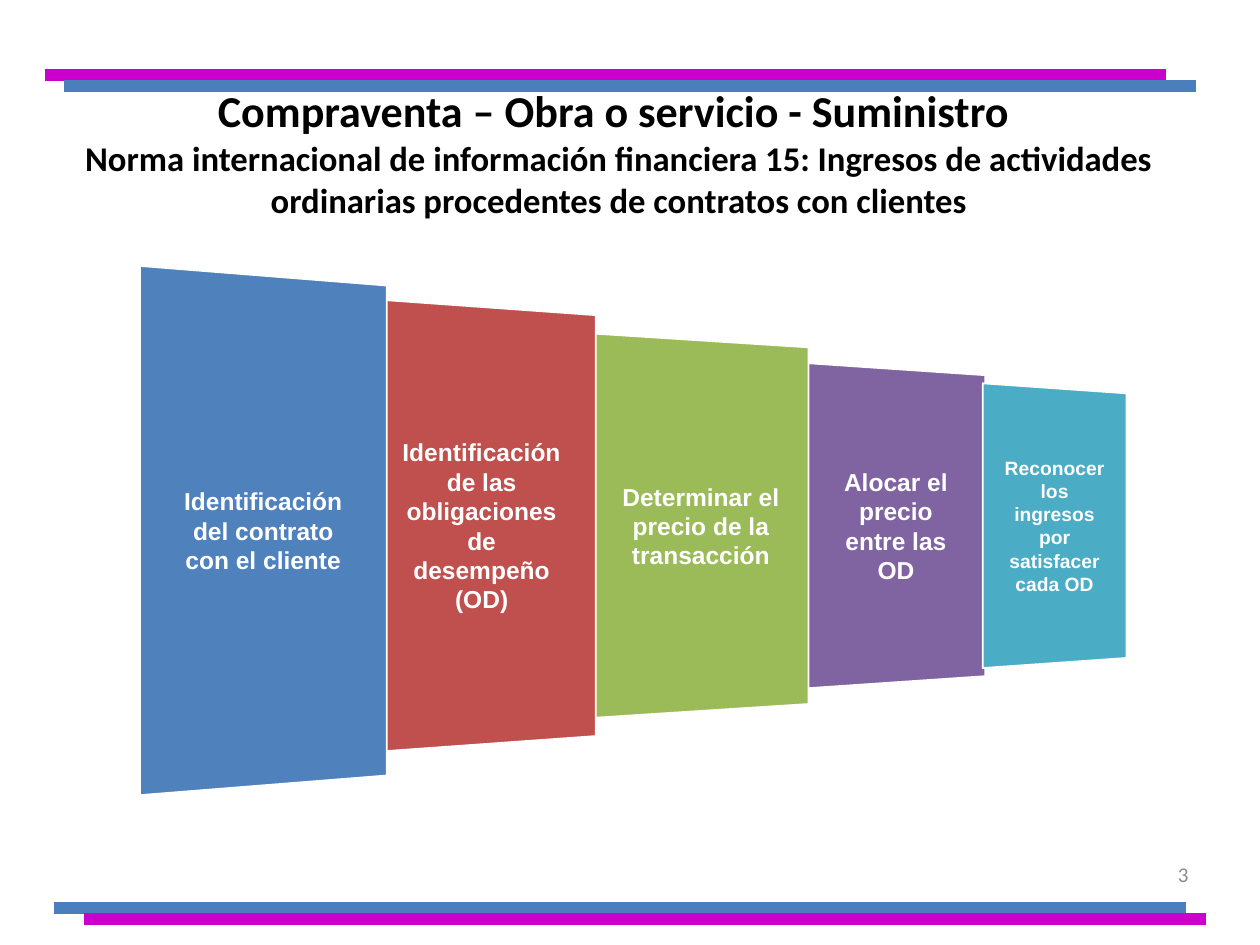
import pptx
import pptx.util
import pptx.dml.color
import pptx.enum.shapes
import pptx.enum.text
import pptx.oxml.ns
import lxml.etree

Pt = pptx.util.Pt
RGB = pptx.dml.color.RGBColor
ALIGN = pptx.enum.text.PP_ALIGN
MIDDLE = pptx.enum.text.MSO_ANCHOR.MIDDLE

BLACK = RGB(0x00, 0x00, 0x00)
WHITE = RGB(0xFF, 0xFF, 0xFF)
GRAY = RGB(0x8C, 0x8C, 0x8C)
STEEL = RGB(0x4B, 0x7E, 0xBC)
PINK = RGB(0xCC, 0x00, 0xCC)
BLUE = RGB(0x4F, 0x81, 0xBD)
RED = RGB(0xC0, 0x50, 0x4D)
GREEN = RGB(0x9B, 0xBB, 0x59)
PURPLE = RGB(0x80, 0x64, 0xA2)
TEAL = RGB(0x4B, 0xAC, 0xC6)

# Content
TITLE = "Compraventa – Obra o servicio - Suministro "
NORM = ("Norma internacional de información financiera 15: Ingresos de "
        "actividades ordinarias procedentes de contratos con clientes")
NUMBER = "3"

# Bars: left, right, y, colour
BARS = [
    (31, 677.5, 519, STEEL),
    (48, 689, 525, PINK),
    (25.5, 666, 43, PINK),
    (36.5, 683.5, 49, STEEL),
]

# Steps, back to front:
# text, colour, left, right, middle, left height, right height, text width, size
STEPS = [
    ("Alocar el precio entre las OD", PURPLE,
     461, 563, 300.4, 185.8, 172, 69, 14),
    ("Determinar el precio de la transacción", GREEN,
     339, 462, 300.4, 219.6, 203.8, 94, 14),
    ("Identificación de las obligaciones de desempeño (OD)", RED,
     210, 340.5, 300.4, 259.2, 240.5, 94, 14),
    ("Identificación del contrato con el cliente", BLUE,
     80, 221, 303.2, 302.4, 280, 94, 14),
    ("Reconocer los ingresos por satisfacer cada OD", TEAL,
     561.6, 643.7, 300.4, 162.7, 151.2, 60.5, 11),
]

deck = pptx.Presentation()
deck.slide_width, deck.slide_height = Pt(720), Pt(540)
slide = deck.slides.add_slide(deck.slide_layouts[6])
shapes = slide.shapes


def write(frame, text, size, font="Calibri", color=BLACK, bold=False,
          align=ALIGN.CENTER):
    """Add a run to the first paragraph of a vertically centred frame."""
    frame.word_wrap = True
    frame.vertical_anchor = MIDDLE
    para = frame.paragraphs[0]
    para.alignment = align
    run = para.add_run()
    run.text = text
    run.font.size = Pt(size)
    run.font.name = font
    run.font.bold = bold
    run.font.color.rgb = color


def box(left, top, width, height):
    return shapes.add_textbox(Pt(left), Pt(top), Pt(width),
                              Pt(height)).text_frame


# Double bars at the top and bottom
for left, right, y, color in BARS:
    bar = shapes.add_connector(pptx.enum.shapes.MSO_CONNECTOR.STRAIGHT,
                               Pt(left), Pt(y), Pt(right), Pt(y))
    bar.line.color.rgb = color
    bar.line.width = Pt(6.75)
    lxml.etree.SubElement(bar._element.spPr, pptx.oxml.ns.qn("a:effectLst"))

# Page number
write(box(518.4, 485.3, 167.8, 28.8), NUMBER, 12, color=GRAY,
      align=ALIGN.RIGHT)

# Title and norm
head = box(29.5, 41.8, 648, 90)
write(head, TITLE, 25.2, bold=True)
head.paragraphs[0].add_line_break()
write(head, NORM, 19.8, bold=True)

# Narrowing row of steps
for text, color, left, right, mid, tall, short, wide, size in STEPS:
    pen = shapes.build_freeform(Pt(left), Pt(mid - tall / 2))
    pen.add_line_segments([
        (Pt(right), Pt(mid - short / 2)),
        (Pt(right), Pt(mid + short / 2)),
        (Pt(left), Pt(mid + tall / 2)),
    ], close=True)
    step = pen.convert_to_shape()
    step.shadow.inherit = False
    step.fill.solid()
    step.fill.fore_color.rgb = color
    step.line.color.rgb = WHITE
    step.line.width = Pt(1)
    frame = step.text_frame
    frame.margin_left = frame.margin_right = Pt((right - left - wide) / 2)
    frame.margin_top = frame.margin_bottom = Pt(3)
    write(frame, text, size, font="Arial", color=WHITE, bold=True)

deck.save("out.pptx")
